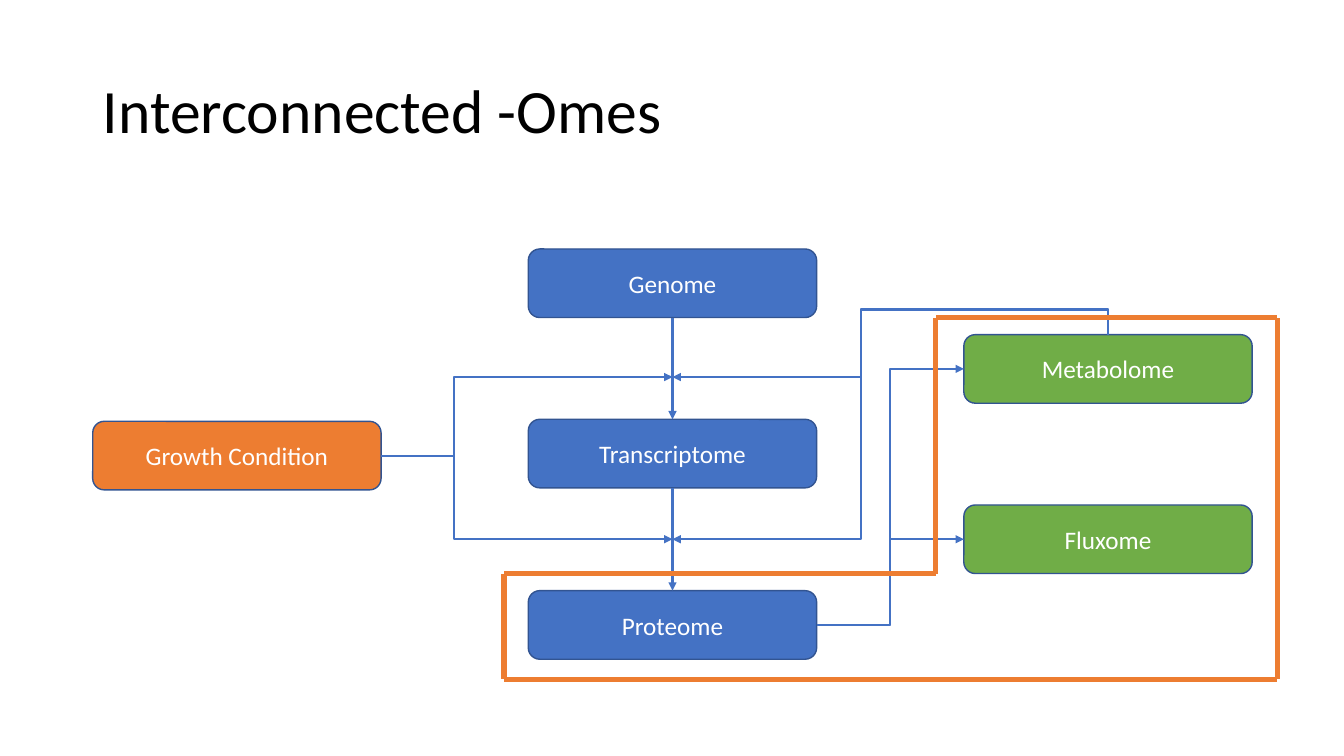
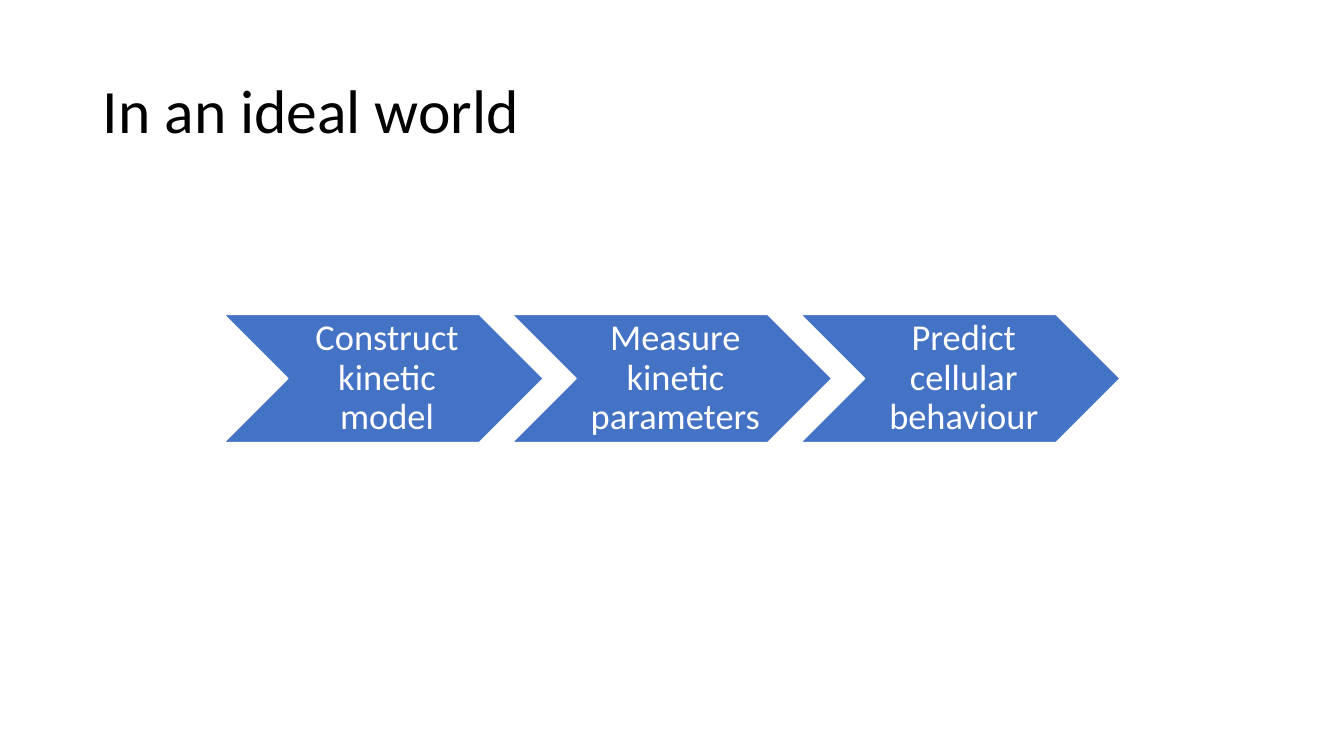
import itertools
import pptx
import pptx.util
import pptx.dml.color
import pptx.enum.shapes
import pptx.enum.text
import pptx.oxml.ns
import pptx.oxml.xmlchemy

Inches = pptx.util.Inches
Pt = pptx.util.Pt
SHAPE = pptx.enum.shapes.MSO_SHAPE
LINK = pptx.enum.shapes.MSO_CONNECTOR
ALIGN = pptx.enum.text.PP_ALIGN
qn = pptx.oxml.ns.qn
make = pptx.oxml.xmlchemy.OxmlElement

FONT = "Calibri"
BLUE, GREEN, ORANGE = "4472C4", "70AD47", "ED7D31"
EDGE, WHITE, BLACK = "325491", "FFFFFF", "000000"

BOX_W, BOX_H = 2.86, 0.68
BOXES = {
    "Genome": (5.24, 2.47, BLUE),
    "Transcriptome": (5.24, 4.16, BLUE),
    "Proteome": (5.24, 5.86, BLUE),
    "Metabolome": (9.56, 3.32, GREEN),
    "Fluxome": (9.56, 5.01, GREEN),
    "Growth Condition": (0.92, 4.18, ORANGE),
}
CHAIN = ["Genome", "Transcriptome", "Proteome"]
STEP_YS = [3.74, 5.35]
GROWTH_TURN, LOOP_TOP, LOOP_LEFT = 0.25, 3.07, 8.54
FRAME = [(12.67, 3.15), (9.28, 3.15), (9.28, 5.69),
         (5, 5.69), (5, 6.74), (12.67, 6.74)]

STEPS = ["Construct kinetic model", "Measure kinetic parameters",
         "Predict cellular behaviour"]
STEP_X, STEP_Y, STEP_W, STEP_H, STEP_GAP = 2.22, 3.12, 3.17, 1.27, 2.86


def color(code):
    return pptx.dml.color.RGBColor.from_string(code)


def write(shape, text, size=18, ink=WHITE, align=ALIGN.CENTER,
          space=1.0, inset=(0.1, 0.05, 0.1, 0.05)):
    frame = shape.text_frame
    frame.word_wrap = True
    frame.auto_size = pptx.enum.text.MSO_AUTO_SIZE.NONE
    frame.vertical_anchor = pptx.enum.text.MSO_ANCHOR.MIDDLE
    (frame.margin_left, frame.margin_top,
     frame.margin_right, frame.margin_bottom) = map(Inches, inset)
    frame.text = text
    para = frame.paragraphs[0]
    para.alignment = align
    para.line_spacing = space
    para.font.name = FONT
    para.font.size = Pt(size)
    para.font.color.rgb = color(ink)


def add_slide(deck, title):
    slide = deck.slides.add_slide(deck.slide_layouts[5])
    head = slide.shapes.title
    head.left, head.top = Inches(0.92), Inches(0.4)
    head.width, head.height = Inches(11.5), Inches(1.45)
    write(head, title, size=44, ink=BLACK, align=ALIGN.LEFT, space=0.9)
    return slide


def add_block(slide, kind, place, fill, edge):
    shape = slide.shapes.add_shape(kind, *map(Inches, place))
    shape.shadow.inherit = False
    shape.fill.solid()
    shape.fill.fore_color.rgb = color(fill)
    shape.line.color.rgb = color(edge)
    shape.line.width = Pt(1)
    return shape


def add_line(slide, start, end, ink=BLUE, width=1.5, kind=LINK.STRAIGHT,
             arrow=True):
    line = slide.shapes.add_connector(kind, *map(Inches, (*start, *end)))
    line.line.color.rgb = color(ink)
    line.line.width = Pt(width)
    props = line._element.spPr
    if arrow:
        tail = make("a:tailEnd")
        tail.set("type", "triangle")
        props.find(qn("a:ln")).append(tail)
    props.append(make("a:effectLst"))
    return line


def set_bends(line, *bends):
    shape = line._element.spPr.find(qn("a:prstGeom"))
    shape.set("prst", f"bentConnector{len(bends) + 2}")
    guides = shape.get_or_add_avLst()
    for num, bend in enumerate(bends, 1):
        guide = make("a:gd")
        guide.set("name", f"adj{num}")
        guide.set("fmla", f"val {round(bend * 100000)}")
        guides.append(guide)


def add_elbow(slide, start, end, turn=0.5):
    set_bends(add_line(slide, start, end, kind=LINK.ELBOW), turn)


def add_loop(slide, start, end):
    (x1, y1), (x2, y2) = start, end
    mid_x, mid_y = (x1 + x2) / 2, (y1 + y2) / 2
    wide, high = y2 - y1, x1 - x2
    line = add_line(slide, (mid_x + wide / 2, mid_y + high / 2),
                    (mid_x - wide / 2, mid_y - high / 2), kind=LINK.ELBOW)
    line._element.spPr.find(qn("a:xfrm")).set("rot", str(270 * 60000))
    set_bends(line, (LOOP_TOP - y1) / wide, (x1 - LOOP_LEFT) / high)


def port(name, across, down):
    left, top, _ = BOXES[name]
    return left + across * BOX_W, top + down * BOX_H


def build_omes(deck):
    slide = add_slide(deck, "Interconnected -Omes")
    blocks = {}
    for name, (left, top, fill) in BOXES.items():
        blocks[name] = add_block(slide, SHAPE.ROUNDED_RECTANGLE,
                                 (left, top, BOX_W, BOX_H), fill, EDGE)
        write(blocks[name], name)
    for upper, lower in itertools.pairwise(CHAIN):
        line = add_line(slide, port(upper, 0.5, 1), port(lower, 0.5, 0))
        line.begin_connect(blocks[upper], 2)
        line.end_connect(blocks[lower], 0)
    for name in ("Metabolome", "Fluxome"):
        add_elbow(slide, port("Proteome", 1, 0.5), port(name, 0, 0.5))
    spine, _ = port("Genome", 0.5, 1)
    for y in STEP_YS:
        add_loop(slide, port("Metabolome", 0.5, 0), (spine, y))
        add_elbow(slide, port("Growth Condition", 1, 0.5), (spine, y),
                  GROWTH_TURN)
    for start, end in itertools.pairwise(FRAME + FRAME[:1]):
        add_line(slide, start, end, ink=ORANGE, width=4, arrow=False)


def build_ideal(deck):
    slide = add_slide(deck, "In an ideal world")
    for num, text in enumerate(STEPS):
        place = (STEP_X + num * STEP_GAP, STEP_Y, STEP_W, STEP_H)
        step = add_block(slide, SHAPE.CHEVRON, place, BLUE, WHITE)
        write(step, text, size=26, space=0.9,
              inset=(0.11, 0.04, 0.04, 0.04))


def main():
    deck = pptx.Presentation()
    deck.slide_width, deck.slide_height = Inches(13.33), Inches(7.5)
    build_omes(deck)
    build_ideal(deck)
    deck.save("out.pptx")


if __name__ == "__main__":
    main()
